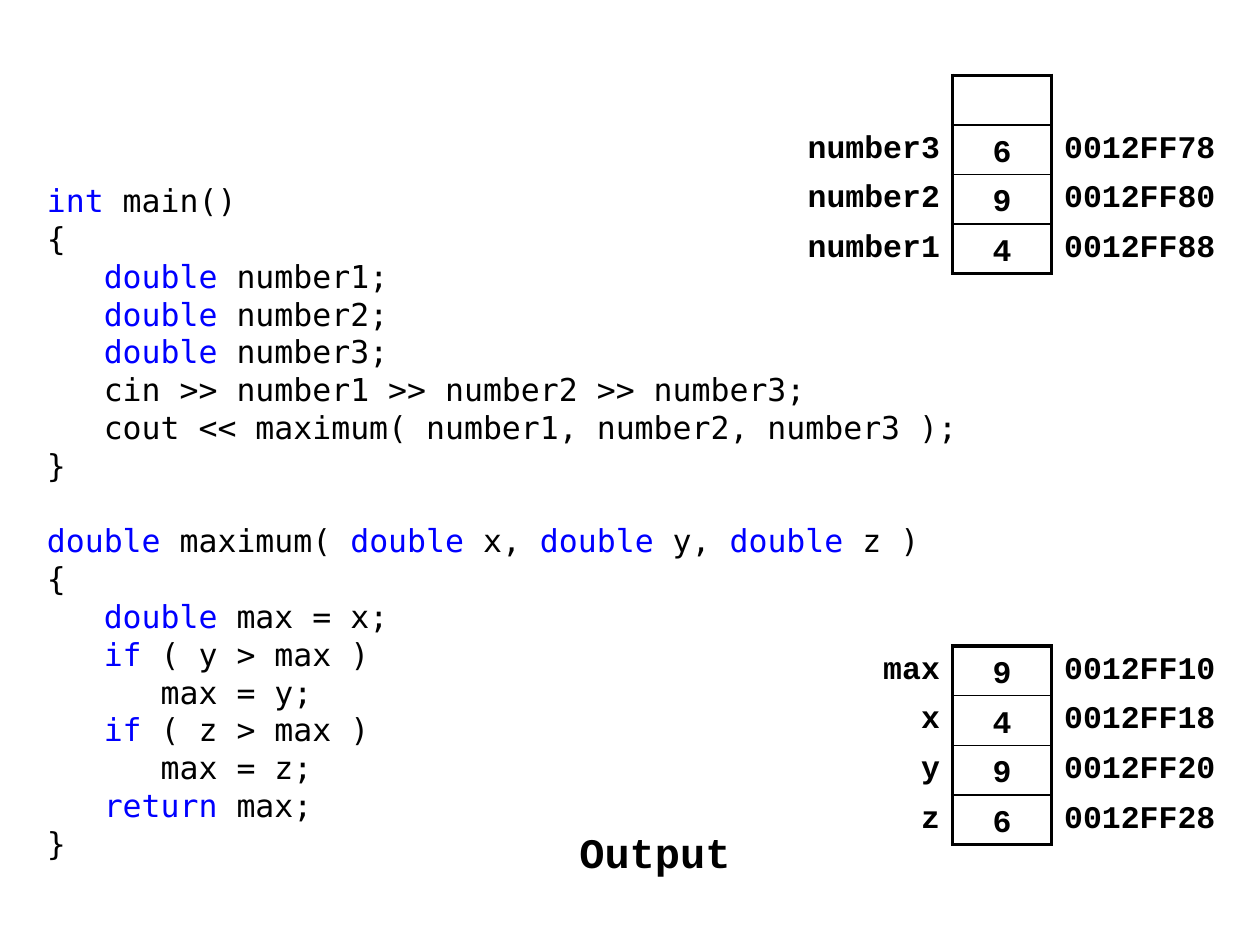
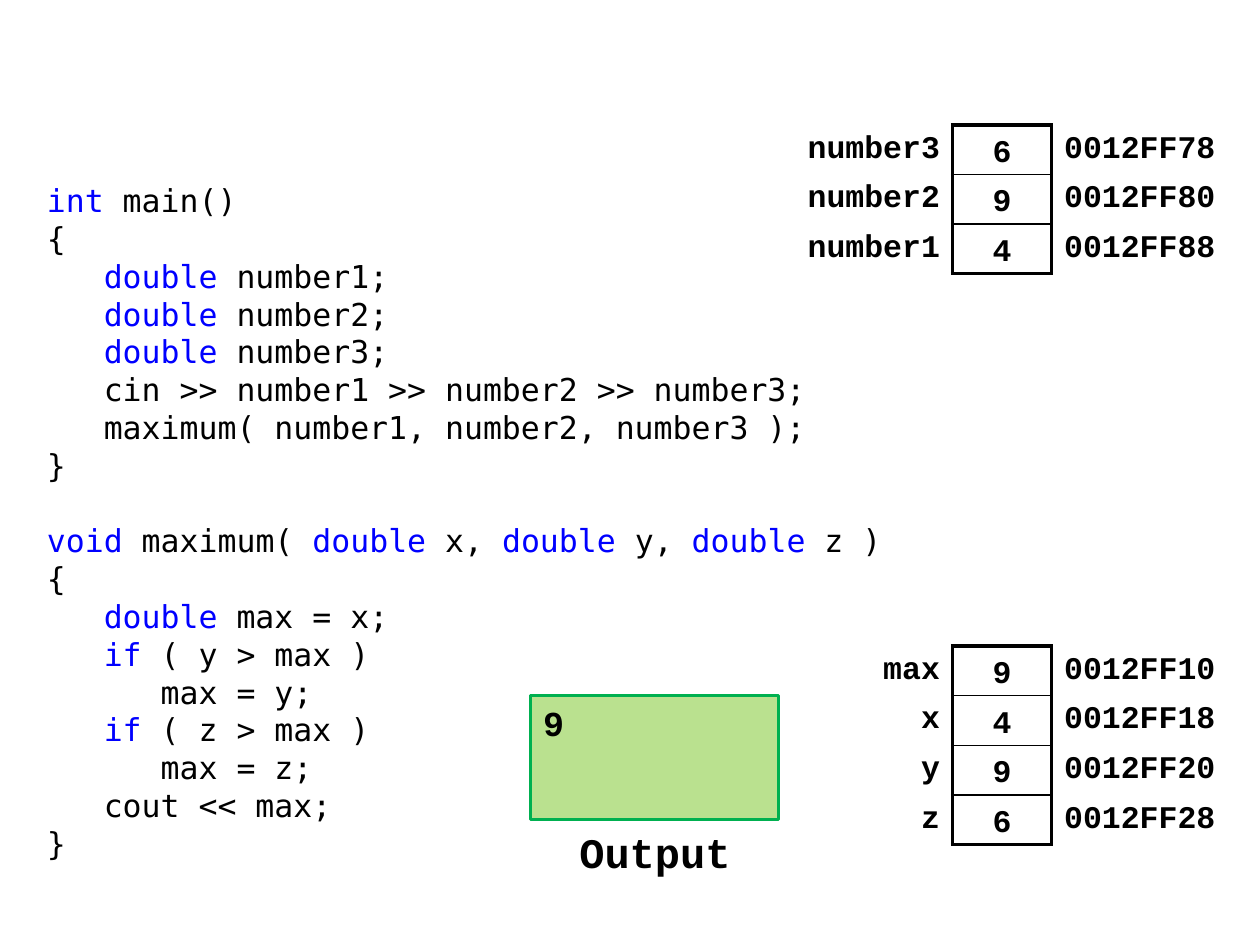
"""Build two slides that trace the memory used by a function call."""
from dataclasses import dataclass
from itertools import groupby

from lxml import etree
from pptx import Presentation
from pptx.dml.color import RGBColor
from pptx.enum.shapes import MSO_SHAPE
from pptx.enum.text import MSO_ANCHOR, PP_ALIGN
from pptx.oxml.ns import qn
from pptx.slide import Slide
from pptx.table import _Cell
from pptx.text.text import Font, TextFrame
from pptx.util import Pt

RECT = MSO_SHAPE.RECTANGLE
TOP, MIDDLE = MSO_ANCHOR.TOP, MSO_ANCHOR.MIDDLE
LEFT, CENTER, RIGHT = PP_ALIGN.LEFT, PP_ALIGN.CENTER, PP_ALIGN.RIGHT
BLACK = RGBColor(0x00, 0x00, 0x00)
BLUE = RGBColor(0x00, 0x00, 0xFF)
GREEN = RGBColor(0x00, 0xB0, 0x50)
LIME = RGBColor(0xBA, 0xE1, 0x8F)

MONO, BOLD = "DejaVu Sans Mono", "Courier New"
KEYS = {"int", "double", "void", "if", "return"}
UNIT = 28.35
LINE = 21.6
THICK, THIN = 2.25, 1
STACK_X, ADDR_W = 544.3, 99.2

CODE = """int main()
{{
   double number1;
   double number2;
   double number3;
   cin >> number1 >> number2 >> number3;
   {call}maximum( number1, number2, number3 );
}}

{kind} maximum( double x, double y, double z )
{{
   double max = x;
   if ( y > max )
      max = y;
   if ( z > max )
      max = z;
   {last} max;
}}"""


@dataclass(frozen=True)
class Slot:
    """One memory cell with its name, value and address."""
    name: str = ""
    value: str = ""
    addr: str = ""


@dataclass(frozen=True)
class Stack:
    """A column of slots and where it stands."""
    top: float
    name_w: float
    inset: float
    slots: tuple[Slot, ...]


@dataclass(frozen=True)
class Page:
    """What one slide shows."""
    code: str
    stacks: tuple[Stack, ...]
    result: str = ""


NUMBERS = (
    Slot("number3", "6", "0012FF78"),
    Slot("number2", "9", "0012FF80"),
    Slot("number1", "4", "0012FF88"),
)
LOCALS = Stack(369.2, 2 * UNIT, 7.2, (
    Slot("max", "9", "0012FF10"),
    Slot("x", "4", "0012FF18"),
    Slot("y", "9", "0012FF20"),
    Slot("z", "6", "0012FF28"),
))
PAGES = (
    Page(CODE.format(call="cout << ", kind="double", last="return"),
         (Stack(43, 5 * UNIT, 4.3, (Slot(),) + NUMBERS), LOCALS)),
    Page(CODE.format(call="", kind="void", last="cout <<"),
         (Stack(43 + UNIT, 5 * UNIT, 4.3, NUMBERS), LOCALS), "9"),
)


def style(font: Font, name: str, size: float, color: RGBColor, bold: bool) -> None:
    """Give a font its face, size, colour and weight."""
    font.name, font.size, font.bold = name, Pt(size), bold
    font.color.rgb = color


def write(frame: TextFrame, text: str, size: float, align: PP_ALIGN) -> None:
    """Write one bold line of text."""
    frame.text = text
    line = frame.paragraphs[0]
    line.alignment = align
    for run in line.runs:
        style(run.font, BOLD, size, BLACK, True)


def pad(frame: TextFrame, side: float, top: float, anchor: MSO_ANCHOR) -> None:
    """Set the insets and anchor of a frame."""
    frame.word_wrap = True
    frame.vertical_anchor = anchor
    frame.margin_left = frame.margin_right = Pt(side)
    frame.margin_top, frame.margin_bottom = Pt(top), Pt(0)


def label(slide: Slide, box: tuple[float, float, float, float], text: str,
          size: float, top: float, anchor: MSO_ANCHOR) -> None:
    """Add a centred bold text box."""
    frame = slide.shapes.add_textbox(*map(Pt, box)).text_frame
    pad(frame, 0, top, anchor)
    write(frame, text, size, CENTER)


def add_code(slide: Slide, code: str) -> None:
    """Add the listing with its keywords in blue."""
    frame = slide.shapes.add_textbox(Pt(19.7), Pt(100), Pt(680.3), Pt(425.2)).text_frame
    pad(frame, 7.2, 3.6, TOP)
    for block, part in enumerate(code.split("\n\n")):
        for row, text in enumerate(part.split("\n")):
            first = block == row == 0
            line = frame.paragraphs[0] if first else frame.add_paragraph()
            line.line_spacing = Pt(LINE)
            line.space_before = Pt(LINE if block and row == 0 else 0)
            words = [word + " " for word in text.split(" ")]
            words[-1] = words[-1].rstrip()
            for key, group in groupby(words, lambda word: word.strip() in KEYS):
                run = line.add_run()
                run.text = "".join(group)
                style(run.font, MONO, 18, BLUE if key else BLACK, False)


def edge(cell: _Cell, **widths: float) -> None:
    """Draw the named cell borders and hide the others."""
    props = cell._tc.get_or_add_tcPr()
    for spot, side in enumerate("LRTB"):
        line = etree.Element(qn(f"a:ln{side}"))
        if side in widths:
            line.set("w", str(Pt(widths[side])))
            fill = etree.SubElement(line, qn("a:solidFill"))
            etree.SubElement(fill, qn("a:srgbClr"), val=str(BLACK))
        else:
            etree.SubElement(line, qn("a:noFill"))
        props.insert(spot, line)


def add_stack(slide: Slide, stack: Stack) -> None:
    """Add a memory table and the values in its middle column."""
    count = len(stack.slots)
    widths = (stack.name_w, 2 * UNIT, ADDR_W)
    table = slide.shapes.add_table(
        count, 3, Pt(STACK_X - stack.name_w), Pt(stack.top),
        Pt(sum(widths)), Pt(count * UNIT)).table
    table.first_row = table.horz_banding = False
    for column, width in zip(table.columns, widths):
        column.width = Pt(width)
    for row, slot in enumerate(stack.slots):
        table.rows[row].height = Pt(UNIT)
        name, value, addr = cells = [table.cell(row, col) for col in range(3)]
        for cell in cells:
            cell.fill.background()
            cell.vertical_anchor = MIDDLE
            cell.margin_top = cell.margin_bottom = Pt(2.9)
        name.margin_left, name.margin_right = Pt(stack.inset), Pt(7.2)
        addr.margin_left, addr.margin_right = Pt(6.8), Pt(5.4)
        write(name.text_frame, slot.name, 18, RIGHT)
        write(addr.text_frame, slot.addr, 18, CENTER)
        edge(name, R=THICK)
        edge(value, L=THICK, R=THICK, T=THIN if row else THICK,
             B=THIN if row < count - 1 else THICK)
        edge(addr, L=THICK)
        if slot.value:
            box = (STACK_X + UNIT / 2, stack.top + row * UNIT, UNIT, UNIT)
            label(slide, box, slot.value, 18, 0, MIDDLE)


def add_result(slide: Slide, text: str) -> None:
    """Add the green screen that shows the printed result."""
    screen = slide.shapes.add_shape(RECT, Pt(303.3), Pt(397.4), Pt(141.7), Pt(70.9))
    screen.shadow.inherit = False
    screen.fill.solid()
    screen.fill.fore_color.rgb = LIME
    screen.line.color.rgb = GREEN
    screen.line.width = Pt(1.5)
    pad(screen.text_frame, 7.2, 3.6, TOP)
    write(screen.text_frame, text, 20, LEFT)


def main() -> None:
    """Build and save the deck."""
    deck = Presentation()
    deck.slide_width, deck.slide_height = Pt(720), Pt(540)
    for page in PAGES:
        slide = deck.slides.add_slide(deck.slide_layouts[6])
        add_code(slide, page.code)
        if page.result:
            add_result(slide, page.result)
        for stack in page.stacks:
            add_stack(slide, stack)
        label(slide, (317.5, 468.5, 113.4, 42.5), "Output", 24, 3.6, TOP)
    deck.save("out.pptx")


if __name__ == "__main__":
    main()
